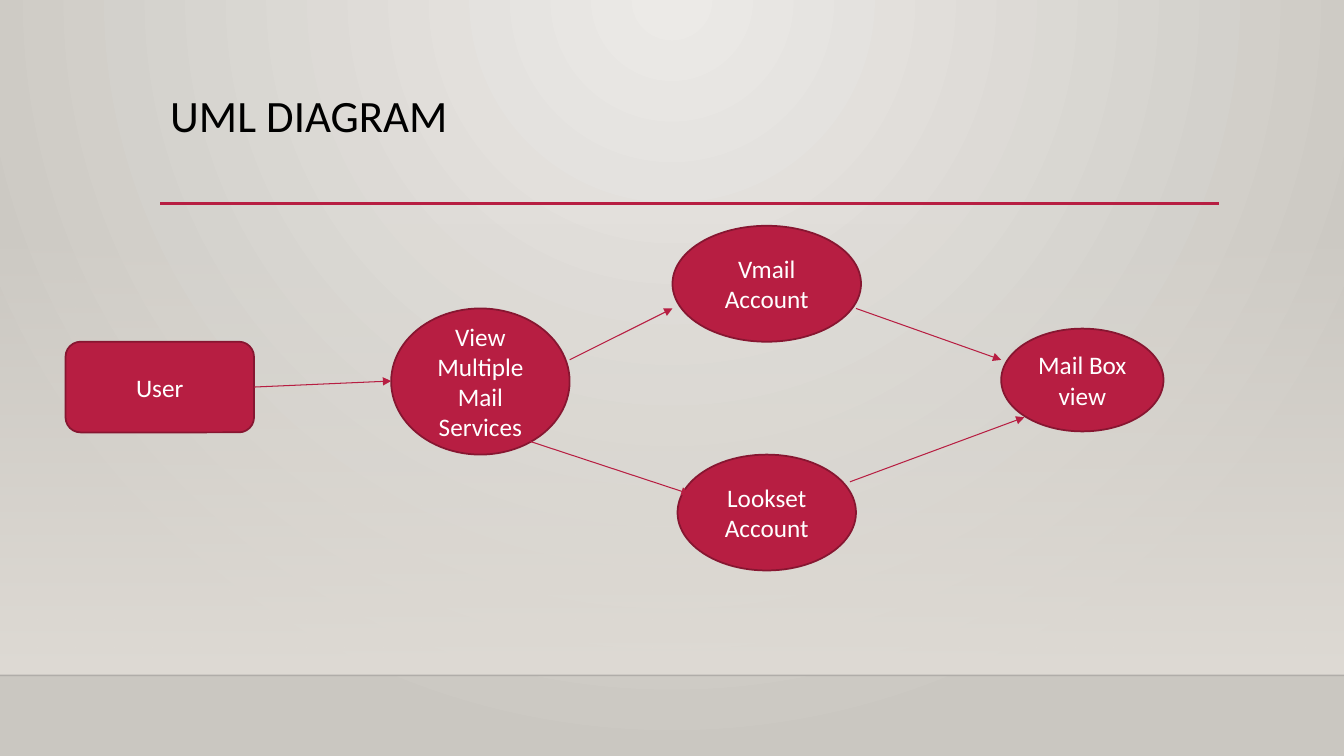
from dataclasses import dataclass

from lxml import etree
from pptx import Presentation
from pptx.dml.color import RGBColor
from pptx.enum.shapes import MSO_CONNECTOR, MSO_SHAPE
from pptx.enum.text import MSO_ANCHOR, PP_ALIGN
from pptx.oxml import parse_xml
from pptx.oxml.ns import nsdecls, qn
from pptx.util import Inches, Pt

STRAIGHT = MSO_CONNECTOR.STRAIGHT
RECTANGLE = MSO_SHAPE.RECTANGLE
ROUNDED = MSO_SHAPE.ROUNDED_RECTANGLE
ELLIPSE = MSO_SHAPE.OVAL
TOP, MIDDLE = MSO_ANCHOR.TOP, MSO_ANCHOR.MIDDLE
LEFT, CENTER = PP_ALIGN.LEFT, PP_ALIGN.CENTER


@dataclass(frozen=True)
class Theme:
    font: str = "Calibri"
    title_size: float = 32
    node_size: float = 18
    title_color: str = "000000"
    node_text: str = "FFFFFF"
    accent: str = "B71E42"
    outline: str = "871631"
    backdrop_inner: str = "ECEAE7"
    backdrop_outer: str = "CAC7C1"
    panel: str = "DFDBD5"
    floor_line: str = "000001"
    outline_width: float = 1.25
    arrow_width: float = 0.75
    rule_width: float = 2.5
    floor_width: float = 1


THEME = Theme()
SLIDE_SIZE = (13.33, 7.5)
PANEL_BOX = (0, 2.21, 13.33, 4.49)
HEADER_BOX = (1.59, 0.88, 10.5, 1.14)
DIAGRAM_BOX = (0.65, 2.24, 10.89, 3.42)

# Positions are relative to the diagram box.
NODES = [
    ("User", ROUNDED, (0, 1.15, 1.87, 0.9)),
    ("Vmail Account", ELLIPSE, (6.02, 0, 1.87, 1.15)),
    ("Mail Box view", ELLIPSE, (9.28, 1.02, 1.61, 1.02)),
    ("Lookset\nAccount", ELLIPSE, (6.07, 2.27, 1.77, 1.15)),
    ("View Multiple Mail Services", ELLIPSE, (3.23, 0.82, 1.77, 1.45)),
]
ARROWS = [
    ((1.87, 1.6), (3.23, 1.54)),
    ((5, 1.33), (6.02, 0.82)),
    ((4.61, 2.14), (6.19, 2.66)),
    ((7.84, 0.82), (9.28, 1.33)),
    ((7.78, 2.54), (9.51, 1.9)),
]


def apply_format(target, values):
    for name, value in values.items():
        setattr(target, name, value)


def replace_with_gradient(parent, stops, direction):
    """Swap the solid fill in parent for a gradient of (position, color, opacity) stops."""
    stop_xml = "".join(
        f'<a:gs pos="{position * 1000}"><a:srgbClr val="{color}">'
        f'<a:alpha val="{opacity * 1000}"/></a:srgbClr></a:gs>'
        for position, color, opacity in stops
    )
    gradient = parse_xml(
        f'<a:gradFill {nsdecls("a")} rotWithShape="1">'
        f"<a:gsLst>{stop_xml}</a:gsLst>{direction}</a:gradFill>"
    )
    parent.replace(parent.find(qn("a:solidFill")), gradient)


def write_text(frame, text, size, color, alignment, anchor, line_spacing=1.0):
    apply_format(frame, {"word_wrap": True, "vertical_anchor": anchor, "text": text})
    for paragraph in frame.paragraphs:
        apply_format(paragraph, {"alignment": alignment, "line_spacing": line_spacing})
        apply_format(paragraph.font, {"name": THEME.font, "size": Pt(size)})
        paragraph.font.color.rgb = RGBColor.from_string(color)


def add_line(slide, start, end, color, width):
    line = slide.shapes.add_connector(STRAIGHT, *map(Inches, (*start, *end)))
    line.line.color.rgb = RGBColor.from_string(color)
    line.line.width = Pt(width)
    etree.SubElement(line._element.spPr, qn("a:effectLst"))
    return line


def add_filled_shape(slide, kind, box, color):
    shape = slide.shapes.add_shape(kind, *map(Inches, box))
    shape.shadow.inherit = False
    shape.fill.solid()
    shape.fill.fore_color.rgb = RGBColor.from_string(color)
    return shape


def add_backdrop(slide, box):
    slide.background.fill.solid()
    replace_with_gradient(
        slide._element.find(".//" + qn("p:bgPr")),
        [(0, THEME.backdrop_inner, 100), (100, THEME.backdrop_outer, 100)],
        '<a:path path="circle"><a:fillToRect l="43000" t="0" r="43000" b="100000"/></a:path>',
    )
    panel = add_filled_shape(slide, RECTANGLE, box, THEME.panel)
    panel.line.fill.background()
    replace_with_gradient(
        panel._element.spPr,
        [(0, THEME.panel, 0), (100, THEME.panel, 100)],
        '<a:lin ang="5400000" scaled="0"/>',
    )
    left, top, width, height = box
    floor = add_line(slide, (left, top + height), (left + width, top + height),
                     THEME.floor_line, THEME.floor_width)
    color = floor._element.spPr.find(".//" + qn("a:srgbClr"))
    etree.SubElement(color, qn("a:alpha"), val="20000")


def add_header(slide, box, title):
    left, top, width, height = box
    add_line(slide, (left, top + height), (left + width, top + height),
             THEME.accent, THEME.rule_width)
    text_box = slide.shapes.add_textbox(*map(Inches, box))
    write_text(text_box.text_frame, title, THEME.title_size, THEME.title_color,
               LEFT, TOP, line_spacing=0.9)


def add_diagram(slide, box):
    left, top = box[:2]
    for text, kind, (x, y, width, height) in NODES:
        node = add_filled_shape(slide, kind, (left + x, top + y, width, height), THEME.accent)
        node.line.color.rgb = RGBColor.from_string(THEME.outline)
        node.line.width = Pt(THEME.outline_width)
        write_text(node.text_frame, text, THEME.node_size, THEME.node_text, CENTER, MIDDLE)
    for ends in ARROWS:
        start, end = [(left + x, top + y) for x, y in ends]
        arrow = add_line(slide, start, end, THEME.accent, THEME.arrow_width)
        etree.SubElement(arrow.line._get_or_add_ln(), qn("a:tailEnd"), type="triangle")


def main():
    presentation = Presentation()
    slide_width, slide_height = map(Inches, SLIDE_SIZE)
    apply_format(presentation, {"slide_width": slide_width, "slide_height": slide_height})
    slide = presentation.slides.add_slide(presentation.slide_layouts[6])
    add_backdrop(slide, PANEL_BOX)
    add_header(slide, HEADER_BOX, "UML DIAGRAM")
    add_diagram(slide, DIAGRAM_BOX)
    presentation.save("out.pptx")


if __name__ == "__main__":
    main()
